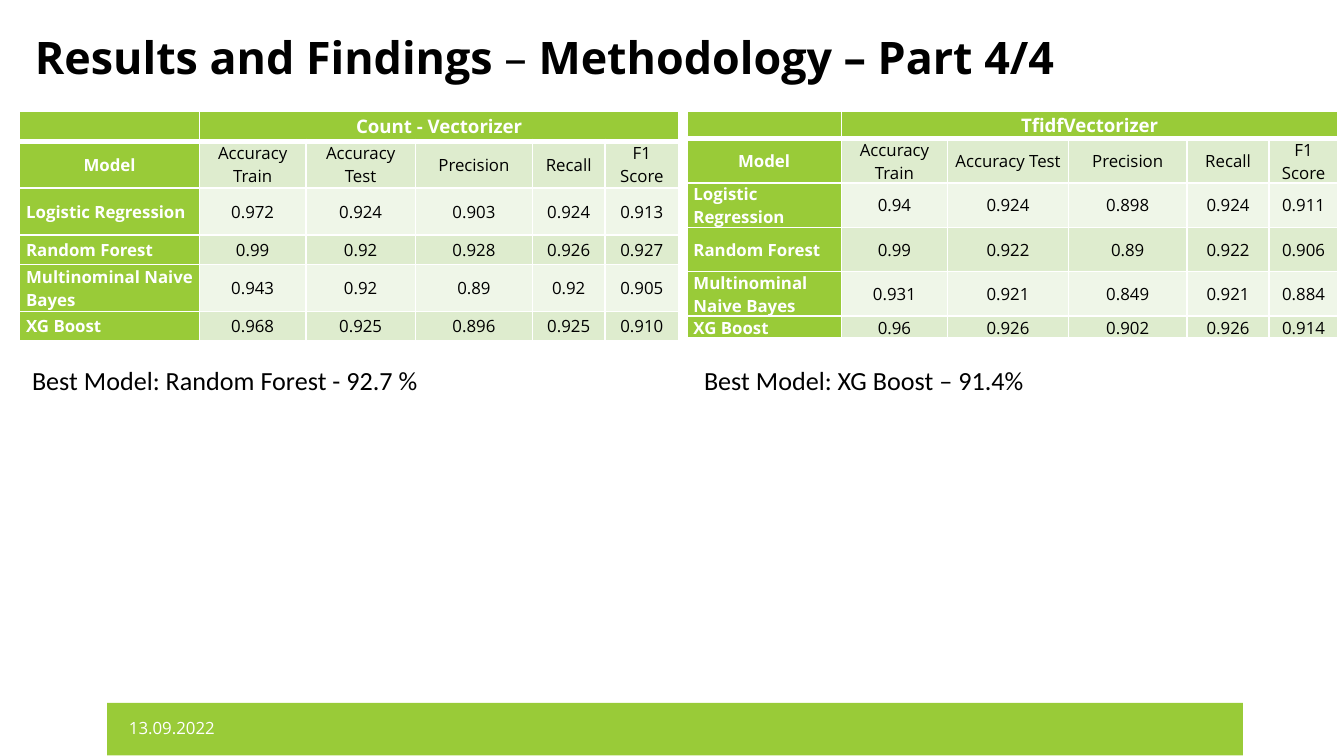
"""Builds a results slide that compares two vectorizers over four models."""
import dataclasses

import lxml.etree
import pptx
import pptx.dml.color
import pptx.enum.shapes
import pptx.enum.text
import pptx.oxml.ns
import pptx.util

Pt = pptx.util.Pt
ALIGN = pptx.enum.text.PP_ALIGN
ANCHOR = pptx.enum.text.MSO_ANCHOR


@dataclasses.dataclass(frozen=True)
class Theme:
    green: str = "99CB38"
    band_dark: str = "DEECCE"
    band_light: str = "EFF6E8"
    white: str = "FFFFFF"
    black: str = "000000"
    font: str = "Open Sans"
    note_font: str = "Calibri"
    title_size: float = 24
    note_size: float = 14
    heading_size: float = 10
    body_size: float = 9


def rgb(color):
    return pptx.dml.color.RGBColor.from_string(color)


class SlideBuilder:
    def __init__(self, slide, theme):
        self.slide = slide
        self.theme = theme

    def style_run(self, run, size, color, bold=False, font=None):
        run.font.name = font or self.theme.font
        run.font.size = Pt(size)
        run.font.bold = bold
        run.font.color.rgb = rgb(color)

    def bar(self, left, top, width, height, color):
        shape = self.slide.shapes.add_shape(
            pptx.enum.shapes.MSO_SHAPE.RECTANGLE,
            Pt(left), Pt(top), Pt(width), Pt(height))
        shape.shadow.inherit = False
        shape.fill.solid()
        shape.fill.fore_color.rgb = rgb(color)
        shape.line.fill.background()

    def text(self, box, runs, size, color, font=None, margins=(7.2, 3.6, 7.2, 3.6),
             anchor=ANCHOR.TOP):
        shape = self.slide.shapes.add_textbox(*map(Pt, box))
        frame = shape.text_frame
        frame.word_wrap = True
        frame.vertical_anchor = anchor
        (frame.margin_left, frame.margin_top,
         frame.margin_right, frame.margin_bottom) = map(Pt, margins)
        for words, bold in runs:
            run = frame.paragraphs[0].add_run()
            run.text = words
            self.style_run(run, size, color, bold, font)

    def borders(self, cell, top, bottom):
        properties = cell._tc.get_or_add_tcPr()
        for index, (side, width) in enumerate(
                [("lnL", 1), ("lnR", 1), ("lnT", top), ("lnB", bottom)]):
            line = lxml.etree.Element(pptx.oxml.ns.qn("a:" + side), w=str(Pt(width)))
            fill = lxml.etree.SubElement(line, pptx.oxml.ns.qn("a:solidFill"))
            lxml.etree.SubElement(
                fill, pptx.oxml.ns.qn("a:srgbClr"), val=self.theme.white)
            properties.insert(index, line)

    def cell(self, cell, words, row, column):
        theme = self.theme
        is_green = row == 0 or column == 0
        band = theme.band_dark if row % 2 else theme.band_light
        cell.fill.solid()
        cell.fill.fore_color.rgb = rgb(theme.green if is_green else band)
        cell.vertical_anchor = ANCHOR.MIDDLE
        cell.margin_left = cell.margin_right = Pt(3.6)
        cell.margin_top = cell.margin_bottom = 0
        self.borders(cell, 3 if row == 1 else 1, 3 if row == 0 else 1)
        size = theme.heading_size if row == 0 else theme.body_size
        cell.text_frame.text = words
        paragraph = cell.text_frame.paragraphs[0]
        paragraph.space_before = Pt(6)
        paragraph.alignment = ALIGN.LEFT if row > 1 and column == 0 else ALIGN.CENTER
        for run in paragraph.runs:
            self.style_run(run, size, theme.white if is_green else theme.black, is_green)
        if not words:
            lxml.etree.SubElement(
                paragraph._p, pptx.oxml.ns.qn("a:endParaRPr"), sz=str(size * 100))

    def table(self, left, top, widths, heights, rows):
        frame = self.slide.shapes.add_table(
            len(rows), len(widths), Pt(left), Pt(top),
            Pt(sum(widths)), Pt(sum(heights)))
        table = frame.table
        for column, width in zip(table.columns, widths):
            column.width = Pt(width)
        for table_row, height in zip(table.rows, heights):
            table_row.height = Pt(height)
        for row, values in enumerate(rows):
            for column, words in enumerate(values):
                self.cell(table.cell(row, column), words, row, column)
        table.cell(0, 1).merge(table.cell(0, len(widths) - 1))


HEADINGS = ["Model", "Accuracy Train", "Accuracy Test", "Precision", "Recall", "F1 Score"]
MODELS = ["Logistic Regression", "Random Forest", "Multinominal Naive Bayes", "XG Boost"]
RESULTS = [
    dict(
        name="Count - Vectorizer", left=10.4, note_left=10.1,
        widths=[96.5, 56.9, 58.8, 62.6, 39, 39.4],
        heights=[15.8, 25.2, 25.2, 15.8, 25.2, 15.8],
        scores=["0.972 0.924 0.903 0.924 0.913", "0.99 0.92 0.928 0.926 0.927",
                "0.943 0.92 0.89 0.92 0.905", "0.968 0.925 0.896 0.925 0.910"],
        note="Best Model: Random Forest - 92.7 %"),
    dict(
        name="TfidfVectorizer", left=367.9, note_left=370.1,
        widths=[82.8, 56.9, 64.8, 63.4, 44.2, 36.7],
        heights=[14.4, 23.8, 23.8, 23.8, 23.8, 11.5],
        scores=["0.94 0.924 0.898 0.924 0.911", "0.99 0.922 0.89 0.922 0.906",
                "0.931 0.921 0.849 0.921 0.884", "0.96 0.926 0.902 0.926 0.914"],
        note="Best Model: XG Boost \u2013 91.4%"),
]

presentation = pptx.Presentation()
presentation.slide_width = Pt(720)
presentation.slide_height = Pt(405)
theme = Theme()
builder = SlideBuilder(
    presentation.slides.add_slide(presentation.slide_layouts[6]), theme)

builder.bar(57.4, 376.6, 608.4, 28.1, theme.green)
builder.text(
    (18.7, 15.8, 653, 39.6),
    [("Results and Findings", True), (" \u2013 ", False),
     ("Methodology \u2013 Part 4/4", True)],
    theme.title_size, theme.black, margins=(0, 0, 0, 3.6))
for result in RESULTS:
    rows = [["", result["name"], "", "", "", ""], HEADINGS]
    rows += [[model, *scores.split()] for model, scores in zip(MODELS, result["scores"])]
    builder.table(result["left"], 59.8, result["widths"], result["heights"], rows)
    builder.text(
        (result["note_left"], 191.5, 349.9, 24.5), [(result["note"], False)],
        theme.note_size, theme.black, theme.note_font)
builder.text(
    (69.1, 379.4, 86.4, 21.6), [("13.09.2022", False)], theme.body_size,
    theme.white, margins=(0, 0, 0, 0), anchor=ANCHOR.MIDDLE)

presentation.save("out.pptx")
